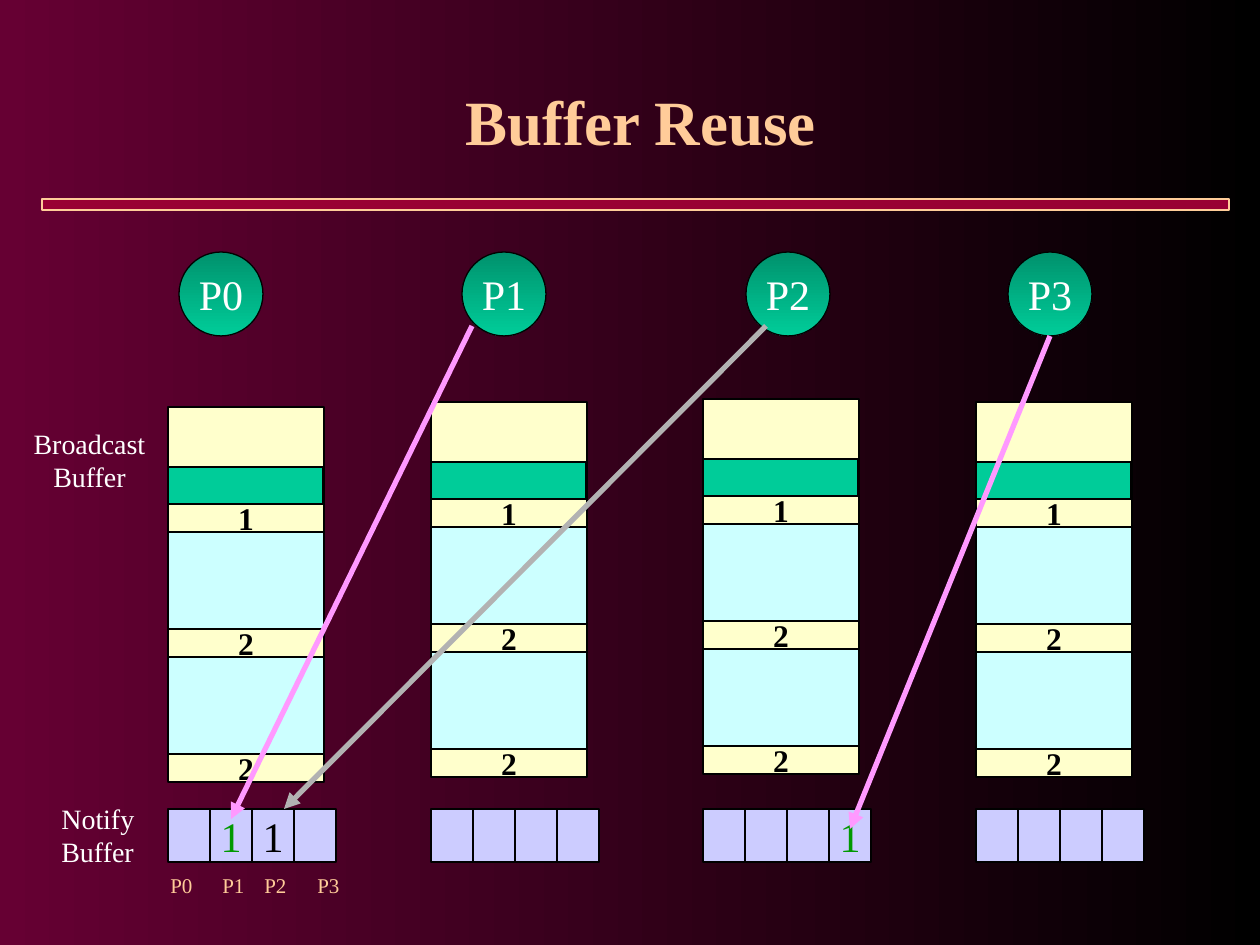
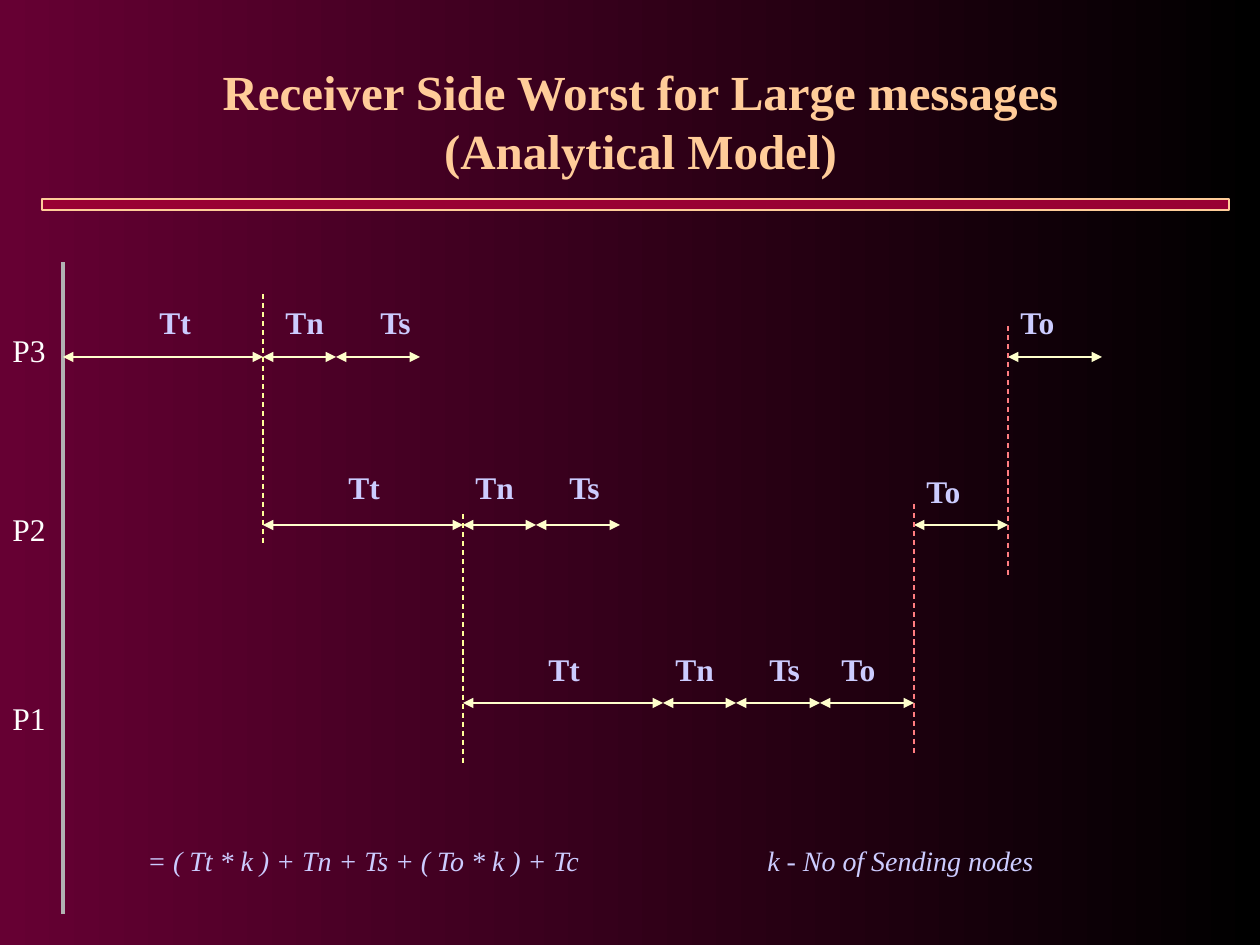
from lxml import etree
from pptx import Presentation
from pptx.dml.color import RGBColor
from pptx.enum import dml, shapes, text
from pptx.oxml.ns import qn
from pptx.util import Emu, Pt

# ---- Shared look ----
EMU_PER_PX = 914400 / 126
FONT = "Times New Roman"
COLORS = {
    "wine": "660033", "black": "000000", "white": "FFFFFF",
    "peach": "FFCC99", "crimson": "990033",
    "cream": "FFFFCC", "ice": "CCFFFF", "lavender": "CCCCFF",
    "teal": "00CC99", "dark teal": "00926D", "green": "009900",
    "pink": "FF99FF", "gray": "B2B2B2", "yellow": "FFFF99", "coral": "FF7C80",
}
RECTANGLE, OVAL = shapes.MSO_SHAPE.RECTANGLE, shapes.MSO_SHAPE.OVAL
CENTER, LEFT = text.PP_ALIGN.CENTER, text.PP_ALIGN.LEFT

# ---- Buffer Reuse: content ----
PROCESSES = [  # name, circle left, buffer left, buffer top
    ("P0", 179, 168, 407),
    ("P1", 462, 431, 402),
    ("P2", 746, 703, 399),
    ("P3", 1008, 976, 402),
]
BUFFER_WIDTH, FIELD_HEIGHT, FLAG_HEIGHT = 156, 97, 28
FLAGS = ["1", "2", "2"]
CELL_WIDTH, CELL_HEIGHT, CELL_TOP = 42, 53, 809
NOTIFICATIONS = {(0, 1): "green", (0, 2): "black", (2, 3): "green"}
CELL_NAME_LEFTS = [158, 210, 252, 305]
BUFFER_NAMES = [  # lines, box, alignment
    (["Broadcast", "Buffer"], (21, 420, 137, 81), CENTER),
    (["Notify", "Buffer"], (49, 795, 106, 81), LEFT),
]
MESSAGES = [  # start, end, colour
    ((472, 326), (231, 819), "pink"),
    ((1050, 336), (850, 829), "pink"),
    ((766, 326), (284, 809), "gray"),
]

# ---- Receiver side: content ----
DURATIONS = {"Tt": 200, "Tn": 73, "Ts": 84, "To": 94}
ROW_NAMES = [("P3", 325), ("P2", 504), ("P1", 693)]
SPANS = [  # start, arrow y, label top, (phase, label offset) in sequence
    (63, 357, 297, [("Tt", 84), ("Tn", 10), ("Ts", 32)]),
    (263, 525, 462, [("Tt", 73), ("Tn", 0), ("Ts", 21)]),
    (463, 703, 644, [("Tt", 73), ("Tn", 0), ("Ts", 21), ("To", 9)]),
    (914, 525, 466, [("To", 0)]),
    (1008, 357, 297, [("To", 0)]),
]
HANDOVERS = [  # x, top, colour
    (263, 294, "yellow"), (463, 514, "yellow"),
    (914, 504, "coral"), (1008, 326, "coral"),
]
HANDOVER_HEIGHT = 252
FORMULA = "= ( Tt * k ) + Tn + Ts + ( To * k ) + Tc\tk - No of Sending nodes"
FORMULA_TAB = 620


def px(length):
    return Emu(round(length * EMU_PER_PX))


def rgb(name):
    return RGBColor.from_string(COLORS[name])


def set_gradient(fill, start, end, angle):
    fill.gradient()
    fill.gradient_angle = angle
    for stop, color in zip(fill.gradient_stops, (start, end)):
        stop.color.rgb = rgb(color)


def add_tab_stop(paragraph, position):
    tabs = etree.SubElement(paragraph._p.get_or_add_pPr(), qn("a:tabLst"))
    etree.SubElement(tabs, qn("a:tab"), pos=str(int(px(position))), algn="l")


def write(shape, lines, size, color, align=LEFT, bold=False, italic=False, tab=None):
    frame = shape.text_frame
    frame.text = "\n".join(lines)
    for paragraph in frame.paragraphs:
        paragraph.alignment = align
        if tab:
            add_tab_stop(paragraph, tab)
        font = paragraph.font
        font.name, font.size = FONT, Pt(size)
        font.bold, font.italic = bold, italic
        font.color.rgb = rgb(color)


def add_label(slide, box, lines, size, color, **style):
    label = slide.shapes.add_textbox(*map(px, box))
    label.text_frame.word_wrap = False
    label.text_frame.auto_size = text.MSO_AUTO_SIZE.SHAPE_TO_FIT_TEXT
    write(label, lines, size, color, **style)


def add_box(slide, box, fill, line="black", kind=RECTANGLE):
    shape = slide.shapes.add_shape(kind, *map(px, box))
    shape.shadow.inherit = False
    shape.fill.solid()
    shape.fill.fore_color.rgb = rgb(fill)
    shape.line.color.rgb = rgb(line)
    shape.line.width = Pt(0.75)
    shape.text_frame.word_wrap = False
    shape.text_frame.vertical_anchor = text.MSO_ANCHOR.MIDDLE
    return shape


def add_line(slide, start, end, color, width, arrows=(), dashed=False):
    connector = slide.shapes.add_connector(
        shapes.MSO_CONNECTOR.STRAIGHT, *map(px, start + end))
    line = connector.line
    line.color.rgb = rgb(color)
    line.width = Pt(width)
    if dashed:
        line.dash_style = dml.MSO_LINE.DASH
    properties = connector._element.spPr
    for arrow in arrows:
        etree.SubElement(properties.find(qn("a:ln")), qn("a:" + arrow), type="triangle")
    etree.SubElement(properties, qn("a:effectLst"))


def add_slide(presentation, title, size):
    slide = presentation.slides.add_slide(presentation.slide_layouts[6])
    set_gradient(slide.background.fill, "wine", "black", 0)
    heading = slide.shapes.add_textbox(*map(px, (105, 42, 1071, 157)))
    heading.text_frame.word_wrap = True
    heading.text_frame.vertical_anchor = text.MSO_ANCHOR.MIDDLE
    write(heading, [title], size, "peach", align=CENTER, bold=True)
    add_box(slide, (42, 199, 1187, 11), "crimson", "peach")
    return slide


def draw_buffer(slide, left, top):
    add_box(slide, (left, top, BUFFER_WIDTH, FIELD_HEIGHT), "cream")
    add_box(slide, (left, top + 60, BUFFER_WIDTH - 1, 42), "teal")
    for index, flag in enumerate(FLAGS):
        flag_top = top + FIELD_HEIGHT + index * (FLAG_HEIGHT + FIELD_HEIGHT)
        if index < len(FLAGS) - 1:
            add_box(slide, (left, flag_top + FLAG_HEIGHT, BUFFER_WIDTH, FIELD_HEIGHT), "ice")
        box = add_box(slide, (left, flag_top, BUFFER_WIDTH, FLAG_HEIGHT), "cream")
        write(box, [flag], 18, "black", align=CENTER, bold=True)


def build_buffer_reuse(presentation):
    slide = add_slide(presentation, "Buffer Reuse", 36)

    # Processes with their broadcast and notify buffers
    for row, (name, circle_left, left, top) in enumerate(PROCESSES):
        draw_buffer(slide, left, top)
        circle = add_box(slide, (circle_left, 252, 84, 84), "teal", kind=OVAL)
        set_gradient(circle.fill, "dark teal", "teal", 270)
        write(circle, [name], 24, "white", align=CENTER)
        for column in range(len(PROCESSES)):
            cell = add_box(slide, (left + column * CELL_WIDTH, CELL_TOP,
                                   CELL_WIDTH, CELL_HEIGHT), "lavender")
            if (row, column) in NOTIFICATIONS:
                write(cell, ["1"], 24, NOTIFICATIONS[row, column], align=CENTER)

    # Names and messages
    for lines, box, align in BUFFER_NAMES:
        add_label(slide, box, lines, 16, "white", align=align)
    for start, end, color in MESSAGES:
        add_line(slide, start, end, color, 3, arrows=["tailEnd"])
    for (name, *_), left in zip(PROCESSES, CELL_NAME_LEFTS):
        add_label(slide, (left, 866, 48, 38), [name], 12, "peach")


def build_receiver_side(presentation):
    slide = add_slide(
        presentation, "Receiver Side Worst for Large messages\v(Analytical Model)", 28)

    # Axis and row names
    add_line(slide, (63, 914), (63, 262), "gray", 2.25)
    for name, top in ROW_NAMES:
        add_label(slide, (0, top, 59, 50), [name], 18, "white")

    # Phases
    for x, y, label_top, phases in SPANS:
        for phase, offset in phases:
            end = x + DURATIONS[phase]
            add_line(slide, (x, y), (end, y), "cream", 1.5, arrows=["headEnd", "tailEnd"])
            add_label(slide, (x + offset, label_top, 68, 50), [phase], 18,
                      "lavender", bold=True)
            x = end
    for x, top, color in HANDOVERS:
        add_line(slide, (x, top), (x, top + HANDOVER_HEIGHT), color, 0.75, dashed=True)

    # Formula and its key, set apart by a tab stop
    formula = slide.shapes.add_textbox(*map(px, (135, 837, 1000, 44)))
    formula.text_frame.word_wrap = True
    write(formula, [FORMULA], 16, "lavender", italic=True, tab=FORMULA_TAB)


def main():
    presentation = Presentation()
    presentation.slide_width, presentation.slide_height = px(1260), px(945)
    build_buffer_reuse(presentation)
    build_receiver_side(presentation)
    presentation.save("out.pptx")


if __name__ == "__main__":
    main()
